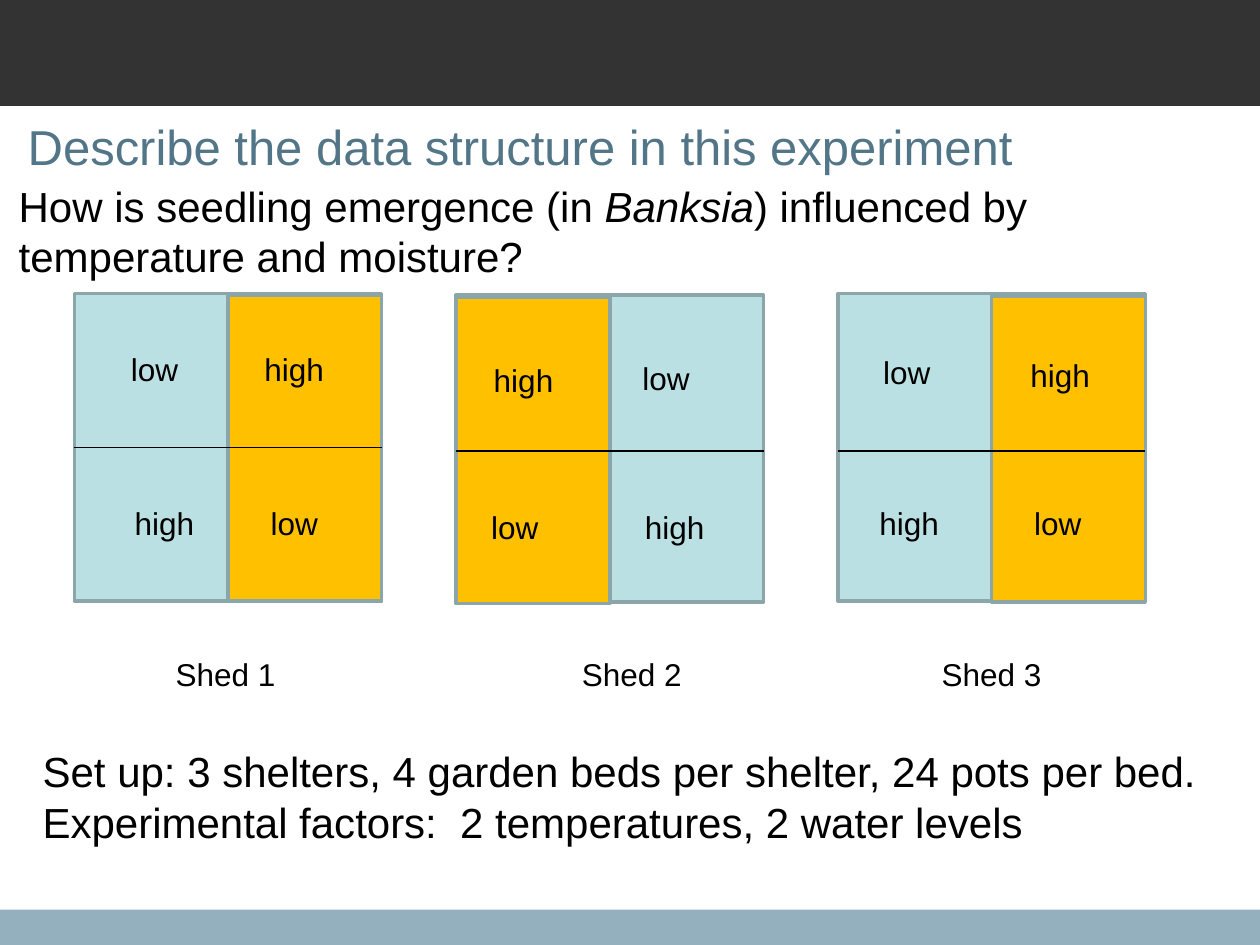
from lxml import etree
from pptx import Presentation
from pptx.dml.color import RGBColor
from pptx.enum.shapes import MSO_CONNECTOR, MSO_SHAPE
from pptx.enum.text import MSO_ANCHOR, MSO_AUTO_SIZE, PP_ALIGN
from pptx.oxml.ns import qn
from pptx.util import Inches, Pt

RECTANGLE = MSO_SHAPE.RECTANGLE
STRAIGHT = MSO_CONNECTOR.STRAIGHT
LEFT, CENTER = PP_ALIGN.LEFT, PP_ALIGN.CENTER
TOP, MIDDLE = MSO_ANCHOR.TOP, MSO_ANCHOR.MIDDLE
NO_AUTOFIT = MSO_AUTO_SIZE.NONE

COLORS = {
    "header": "333333", "footer": "94B0BE", "title": "527688", "text": "000000",
    "cool": "BBE0E3", "warm": "FFC000", "outline": "8AA6A8",
}
FONT = "Arial"

TITLE = "Describe the data structure in this experiment"
QUESTION = [[
    ("How is seedling emergence (in ", False),
    ("Banksia", True),
    (") influenced by temperature and moisture?", False),
]]
SETUP = [
    [("Set up: 3 shelters, 4 garden beds per shelter, 24 pots per bed.", False)],
    [("Experimental factors:  2 temperatures, 2 water levels", False)],
]
BARS = [("footer", 7.22, 0.28), ("header", 0, 0.84)]
SHEDS = [
    {"name": "Shed 1", "align": LEFT, "indent": 0.35, "top": 2.33,
     "warm_column": 1, "warm_top": 2.34, "divider": 3.55,
     "water": [("low", 0.94, 2.73), ("high", 2.0, 2.73),
               ("high", 0.97, 3.95), ("low", 2.05, 3.95)]},
    {"name": "Shed 2", "align": CENTER, "indent": 0.35, "top": 2.34,
     "warm_column": 0, "warm_top": 2.36, "divider": 3.58,
     "water": [("high", 3.82, 2.82), ("low", 5.0, 2.8),
               ("low", 3.8, 3.98), ("high", 5.02, 3.98)]},
    {"name": "Shed 3", "align": CENTER, "indent": 0, "top": 2.33,
     "warm_column": 1, "warm_top": 2.35, "divider": 3.58,
     "water": [("low", 6.91, 2.75), ("high", 8.08, 2.78),
               ("high", 6.88, 3.95), ("low", 8.11, 3.95)]},
]
SHED_LEFT, SHED_PITCH, SHED_SIZE = 0.59, 3.03, 2.44
BED_WIDTH, BED_HEIGHT = 1.22, 2.43
LABEL_OFFSET, LABEL_TOP, LABEL_WIDTH, LABEL_HEIGHT = 0.355, 5.15, 1.73, 0.4
WATER_WIDTH, MARGIN = 0.75, 0.1


def rgb(name):
    return RGBColor.from_string(COLORS[name])


def add_block(slide, fill, left, top, width, height, outline=None):
    block = slide.shapes.add_shape(
        RECTANGLE, Inches(left), Inches(top), Inches(width), Inches(height))
    block.shadow.inherit = False
    block.fill.solid()
    block.fill.fore_color.rgb = rgb(fill)
    if outline:
        block.line.color.rgb = rgb(outline)
        block.line.width = Pt(2)
    else:
        block.line.fill.background()


def add_divider(slide, left, right, top):
    divider = slide.shapes.add_connector(
        STRAIGHT, Inches(left), Inches(top), Inches(right), Inches(top))
    divider.line.color.rgb = rgb("text")
    divider.line.width = Pt(0.75)
    etree.SubElement(divider._element.spPr, qn("a:effectLst"))


def write(frame, paragraphs, size, color="text", align=LEFT, anchor=TOP):
    frame.word_wrap = True
    frame.auto_size = NO_AUTOFIT
    frame.vertical_anchor = anchor
    for index, runs in enumerate(paragraphs):
        paragraph = frame.add_paragraph() if index else frame.paragraphs[0]
        paragraph.alignment = align
        for words, italic in runs:
            run = paragraph.add_run()
            run.text = words
            run.font.name = FONT
            run.font.size = Pt(size)
            run.font.italic = italic
            run.font.color.rgb = rgb(color)


def add_text(slide, paragraphs, size, left, top, width, height, align=LEFT, indent=0):
    frame = slide.shapes.add_textbox(
        Inches(left), Inches(top), Inches(width), Inches(height)).text_frame
    frame.margin_left = Inches(MARGIN + indent)
    write(frame, paragraphs, size, align=align)


def add_shed(slide, shed, left):
    add_block(slide, "cool", left, shed["top"], SHED_SIZE, SHED_SIZE, "outline")
    add_block(slide, "warm", left + shed["warm_column"] * BED_WIDTH, shed["warm_top"],
              BED_WIDTH, BED_HEIGHT, "outline")
    add_divider(slide, left, left + SHED_SIZE, shed["divider"])
    add_text(slide, [[(shed["name"], False)]], 18, left + LABEL_OFFSET, LABEL_TOP,
             LABEL_WIDTH, LABEL_HEIGHT, shed["align"], shed["indent"])
    for level, level_left, level_top in shed["water"]:
        add_text(slide, [[(level, False)]], 18, level_left, level_top,
                 WATER_WIDTH, LABEL_HEIGHT)


def main():
    deck = Presentation()
    deck.slide_width, deck.slide_height = Inches(10), Inches(7.5)
    slide = deck.slides.add_slide(deck.slide_layouts[5])

    for fill, top, height in BARS:
        add_block(slide, fill, 0, top, 10, height)

    title = slide.shapes.title
    title.left, title.top = Inches(0.12), Inches(0.87)
    title.width, title.height = Inches(9.8), Inches(0.57)
    write(title.text_frame, [[(TITLE, False)]], 28, "title", anchor=MIDDLE)

    for index, shed in enumerate(SHEDS):
        add_shed(slide, shed, SHED_LEFT + index * SHED_PITCH)

    add_text(slide, QUESTION, 24, 0.05, 1.38, 9.63, 0.91)
    add_text(slide, SETUP, 24, 0.24, 5.87, 9.76, 1.58)
    deck.save("out.pptx")


if __name__ == "__main__":
    main()
